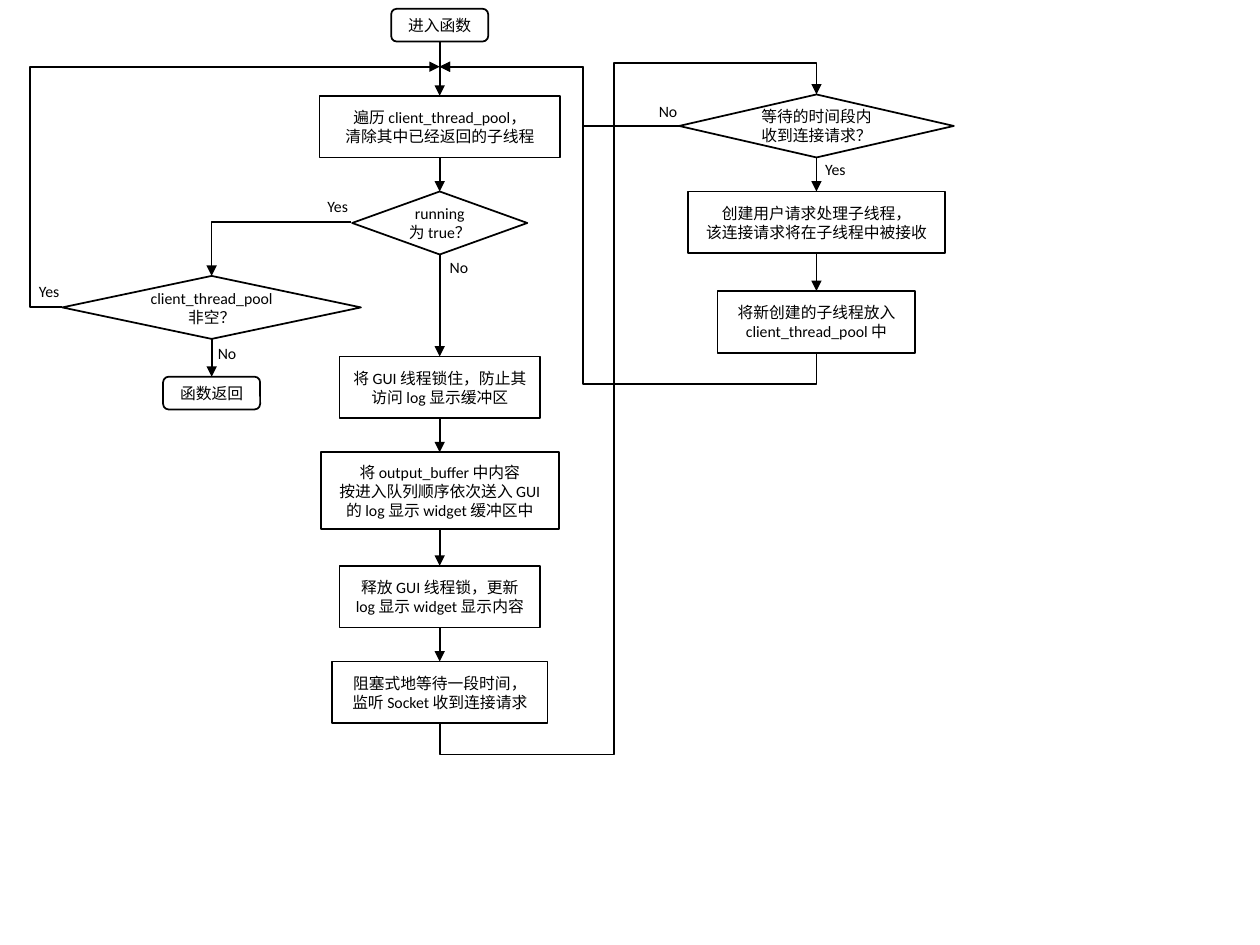
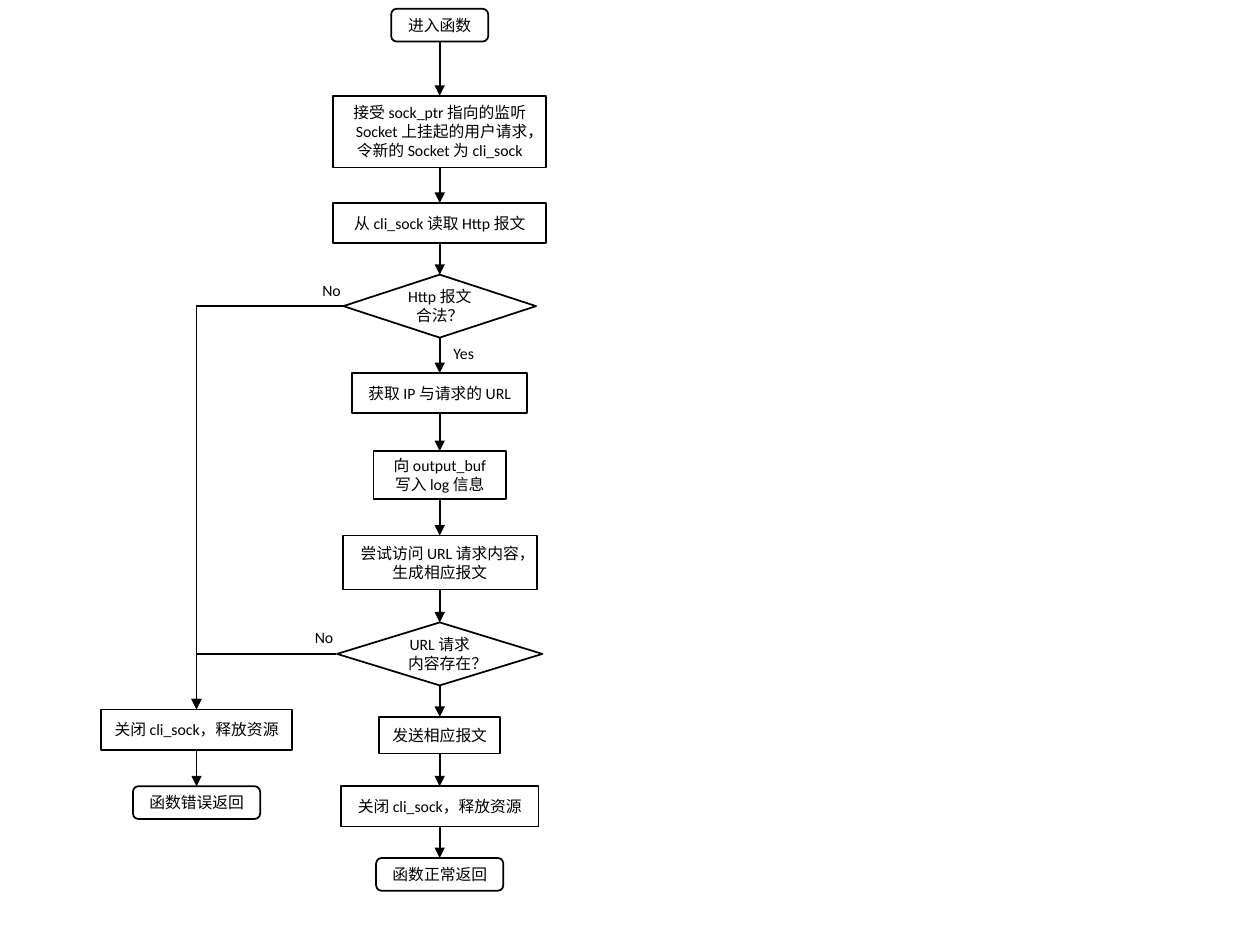
from itertools import pairwise

from lxml import etree
from pptx import Presentation
from pptx import util as u
from pptx.dml.color import RGBColor
from pptx.enum import shapes, text
from pptx.oxml.ns import qn

PX = 9144  # EMU per px, 100 px to the inch
COLORS = {"ink": "000000", "paper": "FFFFFF"}
FONT, FONT_SIZE, LINE_WIDTH = "Calibri", u.Pt(9), u.Pt(1)

TERMINAL = shapes.MSO_SHAPE.ROUNDED_RECTANGLE
PROCESS = shapes.MSO_SHAPE.RECTANGLE
DECISION = shapes.MSO_SHAPE.FLOWCHART_DECISION
TOP, BOTTOM = 0, 2

MAIN_X = 349  # centre of the main column on both slides
ENTRY = (TERMINAL, 7, 77, 26, ["进入函数"])


def emu(px):
    return u.Emu(round(px * PX))


def color(name):
    return RGBColor.from_string(COLORS[name])


def write(frame, lines, align):
    for number, line in enumerate(lines):
        para = frame.add_paragraph() if number else frame.paragraphs[0]
        para.alignment = align
        span = para.add_run()
        span.text = line
        span.font.name, span.font.size = FONT, FONT_SIZE
        span.font.color.rgb = color("ink")


def add_step(page, center, kind, top, width, height, lines):
    box = page.shapes.add_shape(kind, emu(center - width / 2), emu(top), emu(width), emu(height))
    box.shadow.inherit = False
    box.fill.solid()
    box.fill.fore_color.rgb = color("paper")
    box.line.color.rgb = color("ink")
    box.line.width = LINE_WIDTH
    box.text_frame.vertical_anchor = text.MSO_ANCHOR.MIDDLE
    write(box.text_frame, lines, text.PP_ALIGN.CENTER)
    return box


def add_label(page, left, top, word):
    width = 38 if word == "Yes" else 35
    box = page.shapes.add_textbox(emu(left), emu(top), emu(width), emu(25))
    box.text_frame.word_wrap = False
    box.text_frame.auto_size = text.MSO_AUTO_SIZE.SHAPE_TO_FIT_TEXT
    write(box.text_frame, [word], text.PP_ALIGN.LEFT)


def add_arrow(page, kind, start, end):
    arrow = page.shapes.add_connector(kind, *map(emu, (*start, *end)))
    arrow.line.color.rgb = color("ink")
    arrow.line.width = LINE_WIDTH
    props = arrow.element.spPr
    etree.SubElement(props.find(qn("a:ln")), qn("a:tailEnd"), type="triangle")
    etree.SubElement(props, qn("a:effectLst"))
    return arrow


def add_column(page, center, steps):
    """Stack steps on one axis and join each to the next."""
    boxes = [add_step(page, center, *step) for step in steps]
    for upper, lower in pairwise(boxes):
        arrow = add_arrow(page, shapes.MSO_CONNECTOR.STRAIGHT, (0, 0), (0, 0))
        arrow.begin_connect(upper, BOTTOM)
        arrow.end_connect(lower, TOP)


def add_route(page, *points):
    """Draw a right-angled arrow through the points as a bent connector."""
    start, end = points[0], points[-1]
    arrow = add_arrow(page, shapes.MSO_CONNECTOR.ELBOW, start, end)
    props = arrow.element.spPr
    first_axis = 0 if start[1] == points[1][1] else 1

    # A route that sets out vertically is a horizontal one turned by 90 degrees
    if first_axis == 1:
        (x1, y1), (x2, y2) = start, end
        width, height = abs(y2 - y1), abs(x2 - x1)
        arrow.left, arrow.top = emu((x1 + x2 - width) / 2), emu((y1 + y2 - height) / 2)
        arrow.width, arrow.height = emu(width), emu(height)
        frame = props.find(qn("a:xfrm"))
        frame.set("rot", "5400000")
        frame.set("flipH", str(int(y2 < y1)))
        frame.set("flipV", str(int(x2 > x1)))

    # Each inner segment sits at a share of the span on its own axis
    segments = len(points) - 1
    geometry = props.find(qn("a:prstGeom"))
    geometry.set("prst", f"bentConnector{segments}")
    guides = geometry.get_or_add_avLst()
    for number in range(segments - 2):
        axis = (first_axis + number) % 2
        share = (points[number + 1][axis] - start[axis]) / (end[axis] - start[axis])
        etree.SubElement(guides, qn("a:gd"), name=f"adj{number + 1}",
                         fmla=f"val {round(share * 100000)}")


def build_server_loop(page):
    # Main column
    add_column(page, MAIN_X, [
        ENTRY,
        (PROCESS, 76, 191, 49, ["遍历 client_thread_pool，", "清除其中已经返回的子线程"]),
        (DECISION, 152, 139, 50, ["running", "为 true？"]),
        (PROCESS, 283, 159, 49, ["将 GUI 线程锁住，防止其访问 log 显示缓冲区"]),
        (PROCESS, 359, 189, 61, ["将 output_buffer 中内容", "按进入队列顺序依次送入 GUI",
                                 "的 log 显示 widget 缓冲区中"]),
        (PROCESS, 449, 159, 49, ["释放 GUI 线程锁，更新", "log 显示 widget 显示内容"]),
        (PROCESS, 525, 171, 49, ["阻塞式地等待一段时间，", "监听 Socket 收到连接请求"]),
    ])

    # Shutdown branch on the left
    exit_x = 168
    add_column(page, exit_x, [
        (DECISION, 219, 237, 50, ["client_thread_pool", "非空？"]),
        (TERMINAL, 299, 77, 26, ["函数返回"]),
    ])

    # Connection branch on the right
    request_x = 648
    add_column(page, request_x, [
        (DECISION, 75, 218, 50, ["等待的时间段内", "收到连接请求？"]),
        (PROCESS, 152, 204, 49, ["创建用户请求处理子线程，", "该连接请求将在子线程中被接收"]),
        (PROCESS, 231, 157, 49, ["将新创建的子线程放入", "client_thread_pool 中"]),
    ])

    # Routes between columns; three of them return to the loop start
    loop_y, return_x = 53, 463
    loop_start = (MAIN_X, loop_y)
    add_route(page, (279, 176), (exit_x, 176), (exit_x, 219))
    add_route(page, (49, 244), (24, 244), (24, loop_y), loop_start)
    add_route(page, (MAIN_X, 574), (MAIN_X, 599), (487, 599), (487, 50),
              (request_x, 50), (request_x, 75))
    add_route(page, (539, 100), (return_x, 100), (return_x, loop_y), loop_start)
    add_route(page, (request_x, 280), (request_x, 305), (return_x, 305),
              (return_x, loop_y), loop_start)

    for label in [(250, 151, "Yes"), (21, 219, "Yes"), (347, 200, "No"),
                  (163, 268, "No"), (513, 76, "No"), (645, 122, "Yes")]:
        add_label(page, *label)


def build_request_handler(page):
    close_socket = ["关闭 cli_sock，释放资源"]

    # Main column
    add_column(page, MAIN_X, [
        ENTRY,
        (PROCESS, 76, 169, 57, ["接受 sock_ptr 指向的监听", " Socket 上挂起的用户请求，",
                                "令新的 Socket 为 cli_sock"]),
        (PROCESS, 161, 169, 32, ["从 cli_sock 读取 Http 报文"]),
        (DECISION, 218, 153, 50, ["Http 报文", "合法？"]),
        (PROCESS, 296, 139, 32, ["获取 IP 与请求的 URL"]),
        (PROCESS, 358, 105, 38, ["向 output_buf", "写入 log 信息"]),
        (PROCESS, 425, 154, 43, ["尝试访问 URL 请求内容，", "生成相应报文"]),
        (DECISION, 494, 163, 50, ["URL 请求", "内容存在？"]),
        (PROCESS, 569, 96, 29, ["发送相应报文"]),
        (PROCESS, 624, 157, 32, close_socket),
        (TERMINAL, 681, 101, 26, ["函数正常返回"]),
    ])

    # Error branch
    error_x, error_y = 156, 563
    add_column(page, error_x, [
        (PROCESS, error_y, 152, 32, close_socket),
        (TERMINAL, 624, 101, 26, ["函数错误返回"]),
    ])
    for left, middle in [(272, 243), (267, 519)]:
        add_route(page, (left, middle), (error_x, middle), (error_x, error_y))

    for label in [(350, 268, "Yes"), (246, 218, "No"), (240, 493, "No")]:
        add_label(page, *label)


def main():
    deck = Presentation()
    deck.slide_width, deck.slide_height = emu(1000), emu(750)
    blank = deck.slide_layouts[6]
    for build in (build_server_loop, build_request_handler):
        build(deck.slides.add_slide(blank))
    deck.save("out.pptx")


if __name__ == "__main__":
    main()
